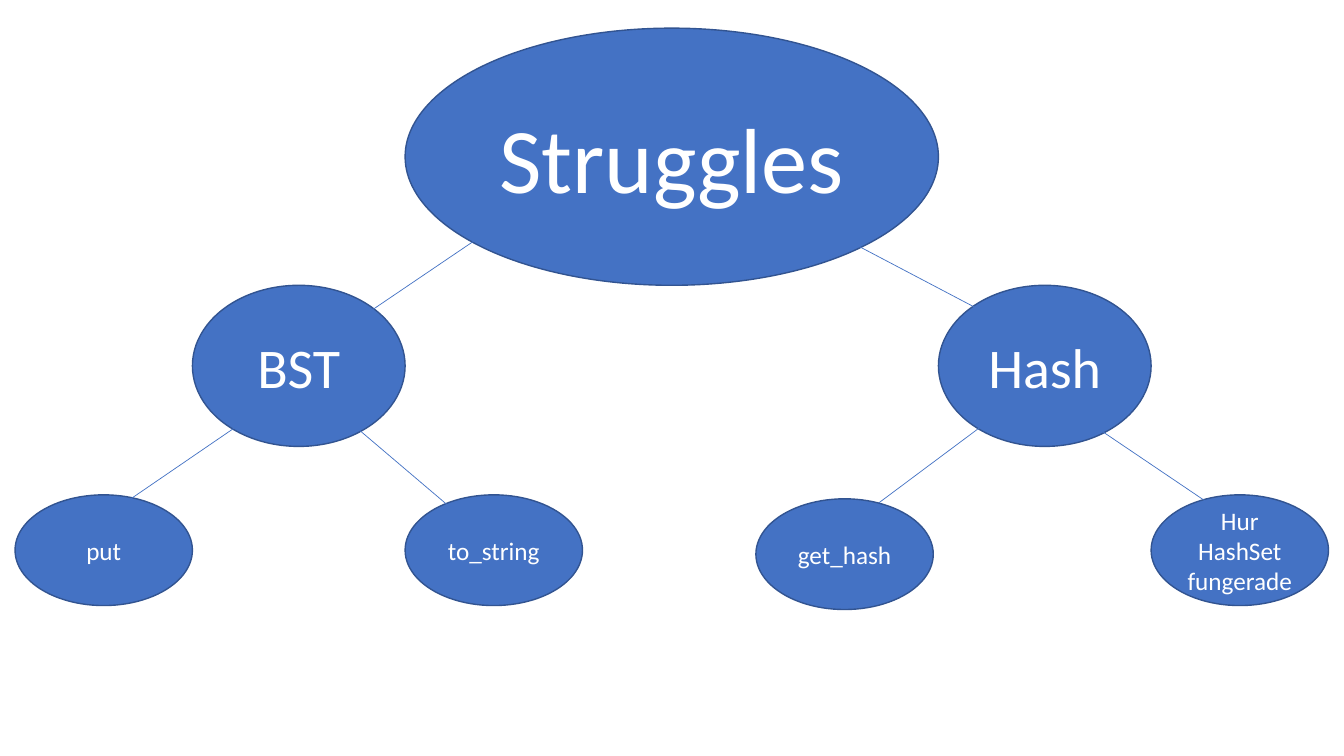
from lxml.etree import SubElement
from pptx import Presentation
from pptx.dml.color import RGBColor
from pptx.enum.shapes import MSO_CONNECTOR, MSO_SHAPE
from pptx.enum.text import MSO_ANCHOR, PP_ALIGN
from pptx.oxml.ns import qn
from pptx.util import Cm, Pt

BLUE = "4472C4"
DARK_BLUE = "325491"
WHITE = "FFFFFF"

# Each level of the tree: width and height in cm, text size in points
ROOT = (13.44, 6.48, 66)
BRANCH = (5.36, 4.06, 40)
LEAF = (4.47, 2.79, 18)

# Text, level, left and top in cm
NODES = [
    ("Struggles", ROOT, 10.21, 0.71),
    ("BST", BRANCH, 4.85, 7.19),
    ("Hash", BRANCH, 23.65, 7.19),
    ("put", LEAF, 0.38, 12.47),
    ("to_string", LEAF, 10.21, 12.47),
    ("get_hash", LEAF, 19.05, 12.57),
    ("Hur HashSet fungerade", LEAF, 29.01, 12.47),
]

# Child end and parent end of each link in cm
LINKS = [
    ((9.32, 7.85), (12.14, 5.94)),
    ((24.77, 7.85), (21.44, 6.1)),
    ((3.15, 12.67), (5.97, 10.74)),
    ((11.73, 13.11), (8.94, 10.74)),
    ((22.15, 12.67), (24.87, 10.64)),
    ((30.53, 12.73), (27.51, 10.69)),
]


def color(hex_string):
    return RGBColor.from_string(hex_string)


def add_node(slide, text, level, left, top):
    width, height, size = level
    shape = slide.shapes.add_shape(
        MSO_SHAPE.OVAL, Cm(left), Cm(top), Cm(width), Cm(height))
    shape.shadow.inherit = False
    shape.fill.solid()
    shape.fill.fore_color.rgb = color(BLUE)
    shape.line.color.rgb = color(DARK_BLUE)
    shape.line.width = Pt(1)

    # Centred label
    frame = shape.text_frame
    frame.word_wrap = True
    frame.vertical_anchor = MSO_ANCHOR.MIDDLE
    paragraph = frame.paragraphs[0]
    paragraph.alignment = PP_ALIGN.CENTER
    run = paragraph.add_run()
    run.text = text
    run.font.name = "Calibri"
    run.font.size = Pt(size)
    run.font.color.rgb = color(WHITE)


def add_link(slide, child, parent):
    connector = slide.shapes.add_connector(
        MSO_CONNECTOR.STRAIGHT, *map(Cm, child + parent))
    connector.line.color.rgb = color(BLUE)
    connector.line.width = Pt(0.5)
    # An empty effect list removes the shadow
    SubElement(connector._element.spPr, qn("a:effectLst"))


def main():
    presentation = Presentation()
    presentation.slide_width = Cm(33.87)
    presentation.slide_height = Cm(19.05)
    slide = presentation.slides.add_slide(presentation.slide_layouts[6])

    # Tree of topics
    for node in NODES:
        add_node(slide, *node)

    # Lines between the levels
    for link in LINKS:
        add_link(slide, *link)

    presentation.save("out.pptx")


if __name__ == "__main__":
    main()
